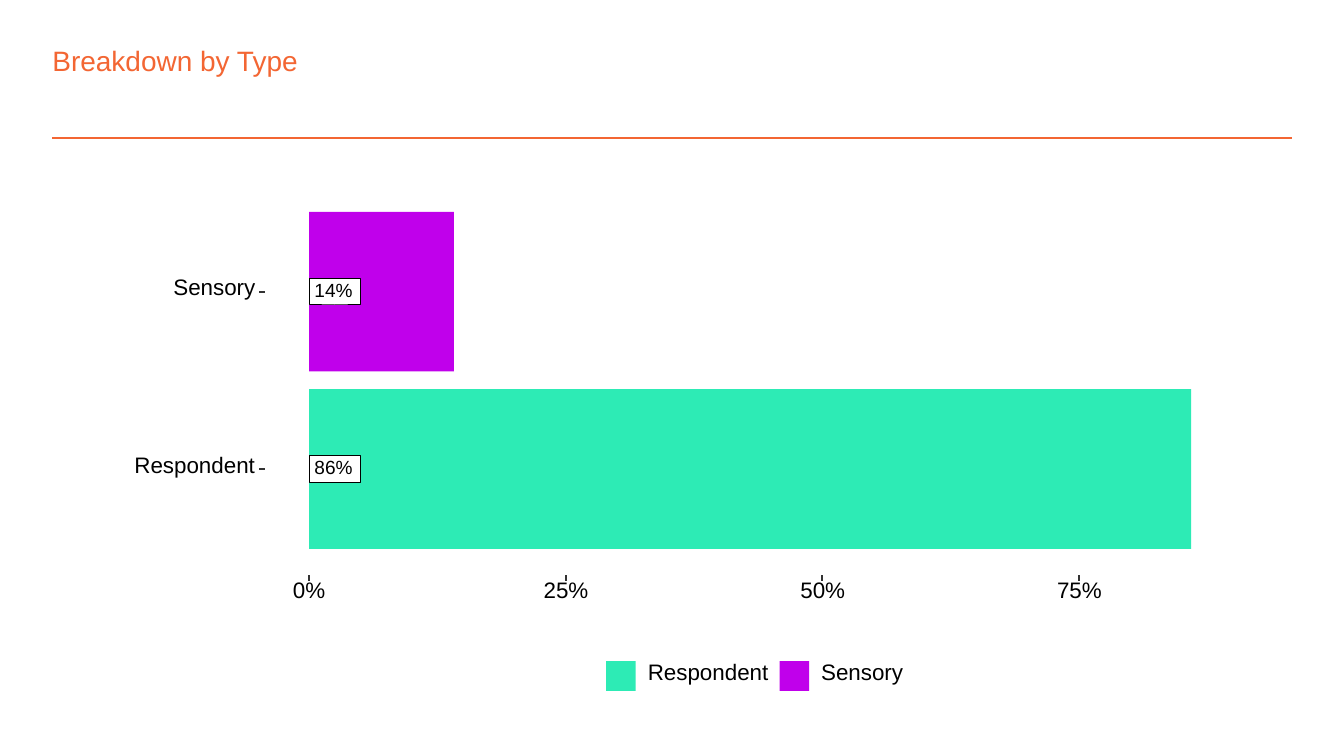
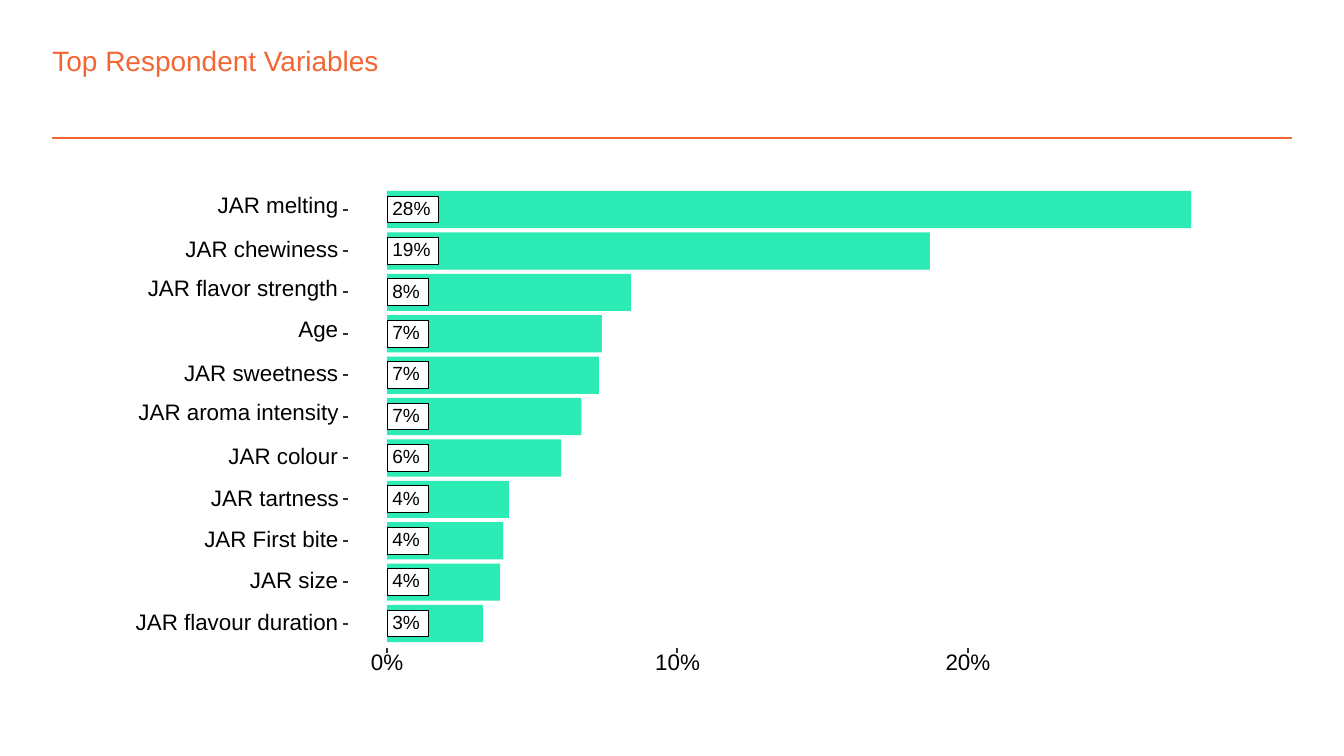
from dataclasses import dataclass

from lxml import etree
from pptx import Presentation
from pptx.dml.color import RGBColor
from pptx.enum import shapes, text
from pptx.oxml import ns
from pptx.util import Inches, Pt


@dataclass(frozen=True)
class Theme:
    font: str = "Arial"
    accent: str = "F36633"
    respondent: str = "2DEBB5"
    sensory: str = "C000EB"
    ink: str = "000000"
    tick: str = "333333"
    paper: str = "FFFFFF"
    title_size: float = 15
    label_size: float = 12
    tag_size: float = 10.2
    rule_width: float = 1
    tick_width: float = 1.07
    tag_width: float = 0.53


THEME = Theme()
TICK = 0.04
LABEL_SLACK = 0.02


@dataclass(frozen=True)
class Bar:
    name: str
    name_width: float
    value: float
    color: str = THEME.respondent


@dataclass(frozen=True)
class BarPlot:
    title: str
    bars: list[Bar]
    origin: float
    name_right: float
    first_row: float
    pitch: float
    axis_y: float
    tick_gap: float
    tick_step: int
    tick_count: int


@dataclass(frozen=True)
class Key:
    left: float
    bar: Bar


def add_line(parent, x1: float, y1: float, x2: float, y2: float,
             color: str, width: float) -> None:
    cx = parent.add_connector(shapes.MSO_CONNECTOR.STRAIGHT,
                              Inches(x1), Inches(y1), Inches(x2), Inches(y2))
    cx.line.color.rgb = RGBColor.from_string(color)
    cx.line.width = Pt(width)
    etree.SubElement(cx._element.spPr, ns.qn("a:effectLst"))


def add_rect(parent, left: float, top: float, width: float, height: float,
             fill: str, line: str | None = None,
             line_width: float = THEME.tick_width) -> None:
    sp = parent.add_shape(shapes.MSO_SHAPE.RECTANGLE, Inches(left), Inches(top),
                          Inches(width), Inches(height))
    sp.shadow.inherit = False
    sp.fill.solid()
    sp.fill.fore_color.rgb = RGBColor.from_string(fill)
    if line is None:
        sp.line.fill.background()
    else:
        sp.line.color.rgb = RGBColor.from_string(line)
        sp.line.width = Pt(line_width)


def add_text(parent, left: float, top: float, width: float, height: float,
             words: str, size: float, color: str = THEME.ink):
    tb = parent.add_textbox(Inches(left), Inches(top), Inches(width), Inches(height))
    tf = tb.text_frame
    tf.margin_left = tf.margin_right = tf.margin_top = tf.margin_bottom = 0
    tf.word_wrap = False
    p = tf.paragraphs[0]
    p.text = words
    p.font.name = THEME.font
    p.font.size = Pt(size)
    p.font.color.rgb = RGBColor.from_string(color)
    return tf


def add_label(parent, left: float, center: float, width: float, height: float,
              words: str, size: float = THEME.label_size) -> None:
    tf = add_text(parent, left, center - height / 2, width + LABEL_SLACK, height,
                  words, size)
    tf.vertical_anchor = text.MSO_ANCHOR.MIDDLE
    tf.paragraphs[0].line_spacing = Pt(size)


def add_name(parent, left: float, center: float, bar: Bar) -> None:
    descends = any(c in "gpqy" for c in bar.name)
    height, lift = (0.15, 0.02) if descends else (0.12, 0)
    add_label(parent, left, center - lift, bar.name_width, height, bar.name)


def add_tag(parent, left: float, center: float, value: float) -> None:
    words = f"{value:.0f}%"
    width = 0.28 if len(words) == 3 else 0.21
    height = 0.2
    add_rect(parent, left, center - height / 2, width + 0.1, height,
             THEME.paper, THEME.ink, THEME.tag_width)
    add_label(parent, left + 0.04, center, width, 0.11, words, THEME.tag_size)


def add_axis(parent, plot: BarPlot) -> None:
    for i in range(plot.tick_count):
        x = plot.origin + i * plot.tick_gap
        words = f"{i * plot.tick_step}%"
        width = 0.33 if len(words) == 3 else 0.24
        add_line(parent, x, plot.axis_y + TICK, x, plot.axis_y,
                 THEME.tick, THEME.tick_width)
        add_label(parent, x - width / 2, plot.axis_y + 0.12, width, 0.13, words)


def add_plot(parent, plot: BarPlot) -> None:
    add_rect(parent, 0.75, 1.3, 8.5, 4, THEME.paper, THEME.paper)
    rows = [(plot.first_row + i * plot.pitch, bar) for i, bar in enumerate(plot.bars)]
    height = plot.pitch * 0.9
    for center, bar in rows:
        add_rect(parent, plot.origin, center - height / 2,
                 bar.value / plot.tick_step * plot.tick_gap, height, bar.color)
    for center, bar in rows:
        add_tag(parent, plot.origin, center, bar.value)
        add_name(parent, plot.name_right - bar.name_width, center, bar)
        tick_x = plot.name_right + 0.03
        add_line(parent, tick_x, center, tick_x + TICK, center,
                 THEME.tick, THEME.tick_width)
    add_axis(parent, plot)


def add_legend(parent, keys: list[Key]) -> None:
    center, size, frame = 5.03, 0.22, 0.24
    add_rect(parent, 4.35, 4.83, 2.45, 0.39, THEME.paper, THEME.paper)
    for key in keys:
        add_rect(parent, key.left - 0.01, center - frame / 2, frame, frame,
                 THEME.paper, THEME.paper)
        add_rect(parent, key.left, center - size / 2, size, size, key.bar.color)
        add_name(parent, key.left + 0.31, center, key.bar)


def add_plot_slide(prs, plot: BarPlot, keys: list[Key]) -> None:
    s = prs.slides.add_slide(prs.slide_layouts[6])
    add_line(s.shapes, 0.39, 1.03, 9.61, 1.03, THEME.accent, THEME.rule_width)
    tf = add_text(s.shapes, 0.39, 0.32, 8.29, 0.25, plot.title,
                  THEME.title_size, THEME.accent)
    tf.word_wrap = True
    tf.auto_size = text.MSO_AUTO_SIZE.SHAPE_TO_FIT_TEXT
    group = s.shapes.add_group_shape().shapes
    add_plot(group, plot)
    if keys:
        add_legend(group, keys)


SENSORY = Bar("Sensory", 0.61, 14.1, THEME.sensory)
RESPONDENT = Bar("Respondent", 0.9, 85.9)

TYPES = BarPlot(
    title="Breakdown by Type", bars=[SENSORY, RESPONDENT],
    origin=2.3, name_right=1.9, first_row=2.17, pitch=1.32,
    axis_y=4.28, tick_gap=1.91, tick_step=25, tick_count=4)

VARIABLES = BarPlot(
    title="Top Respondent Variables",
    bars=[
        Bar("JAR melting", 0.9, 27.7),
        Bar("JAR chewiness", 1.14, 18.7),
        Bar("JAR flavor strength", 1.42, 8.4),
        Bar("Age", 0.3, 7.4),
        Bar("JAR sweetness", 1.15, 7.3),
        Bar("JAR aroma intensity", 1.49, 6.7),
        Bar("JAR colour", 0.82, 6.0),
        Bar("JAR tartness", 0.95, 4.2),
        Bar("JAR First bite", 1.0, 4.0),
        Bar("JAR size", 0.66, 3.9),
        Bar("JAR flavour duration", 1.51, 3.3),
    ],
    origin=2.88, name_right=2.52, first_row=1.56, pitch=(4.64 - 1.56) / 10,
    axis_y=4.82, tick_gap=2.16, tick_step=10, tick_count=3)


def main() -> None:
    prs = Presentation()
    prs.slide_width = Inches(10)
    prs.slide_height = Inches(10 * 9 / 16)
    add_plot_slide(prs, TYPES, [Key(4.51, RESPONDENT), Key(5.8, SENSORY)])
    add_plot_slide(prs, VARIABLES, [])
    prs.save("out.pptx")


if __name__ == "__main__":
    main()
